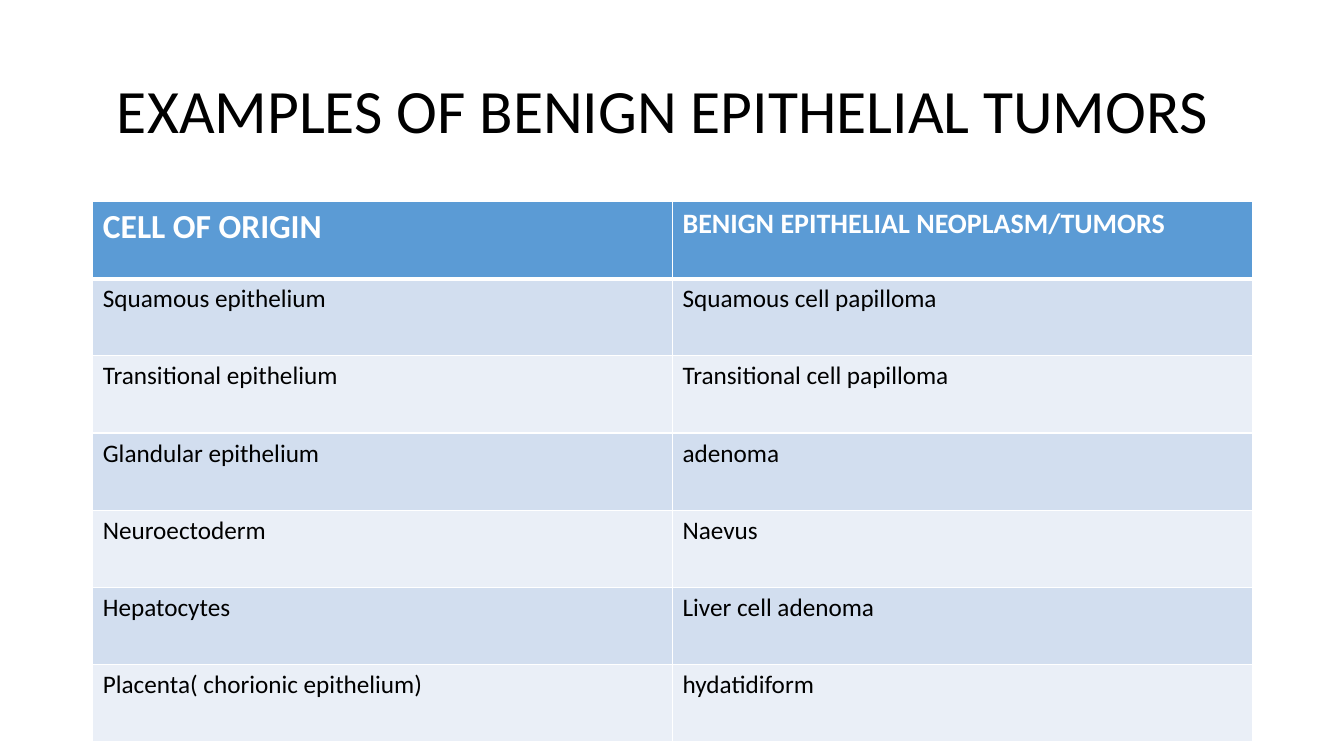
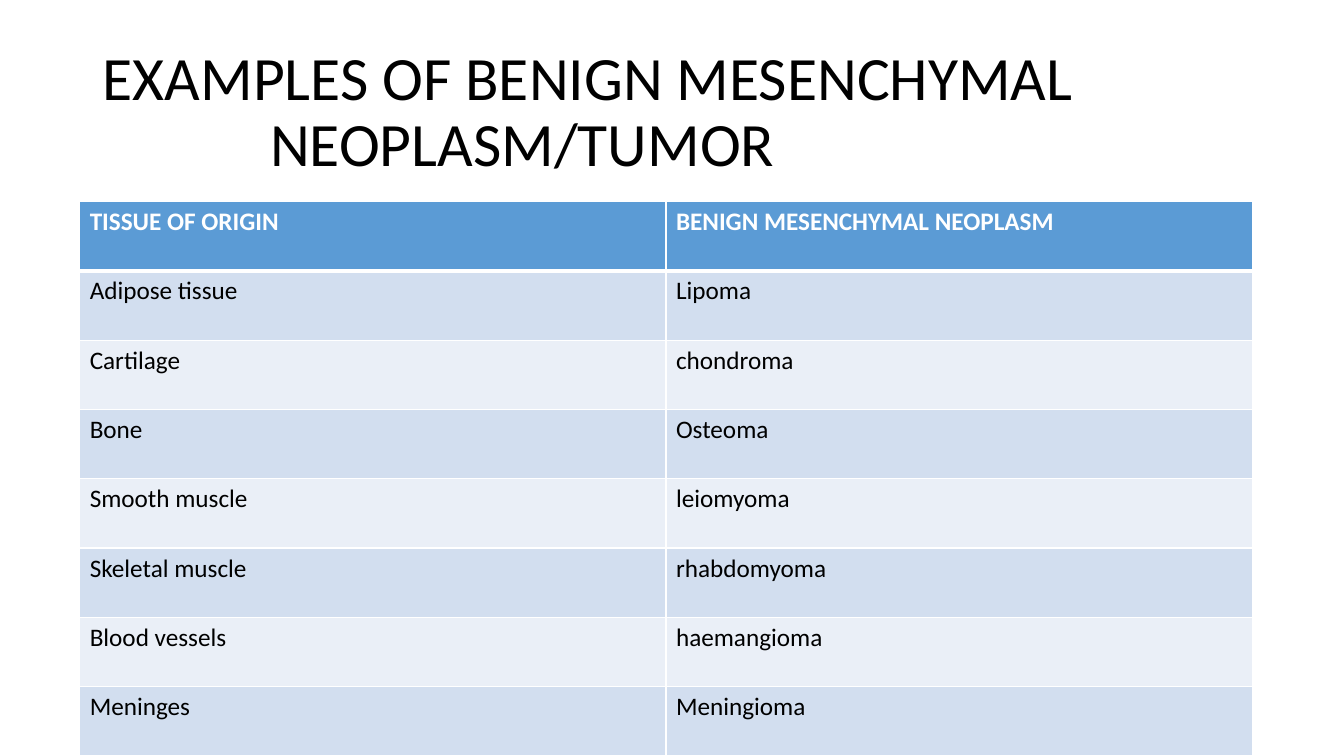
import pptx
import pptx.util
import pptx.dml.color
import pptx.enum.text
import pptx.oxml
import pptx.oxml.ns
from dataclasses import dataclass

PX = 9144  # EMU in one px, 100 px to the inch


@dataclass(frozen=True)
class Theme:
    font: str = "Calibri"
    ink: str = "000000"
    paper: str = "FFFFFF"
    header: str = "5B9BD5"
    bands: tuple = ("D2DEEF", "EAEFF7")
    title_size: int = 44
    body_size: int = 18
    rule: int = 1
    header_rule: int = 3


THEME = Theme()
SLIDE_SIZE = (1333, 750)
TITLE_BOX = (92, 40, 1150, 145)

# Each title line is (text, left indent in px)
SLIDES = [
    dict(
        title=[("EXAMPLES OF BENIGN EPITHELIAL TUMORS", 14)],
        box=(92, 200, 1150, 536),
        header_sizes=(24, 20),
        rows=[
            ("CELL OF ORIGIN", "BENIGN EPITHELIAL NEOPLASM/TUMORS"),
            ("Squamous epithelium", "Squamous cell papilloma"),
            ("Transitional epithelium", "Transitional cell papilloma"),
            ("Glandular epithelium", "adenoma"),
            ("Neuroectoderm", "Naevus"),
            ("Hepatocytes", "Liver cell adenoma"),
            ("Placenta( chorionic epithelium)", "hydatidiform"),
        ],
    ),
    dict(
        title=[("EXAMPLES OF BENIGN MESENCHYMAL", 0), ("NEOPLASM/TUMOR", 166)],
        box=(79, 200, 1163, 550),
        header_sizes=(THEME.body_size, THEME.body_size),
        rows=[
            ("TISSUE OF ORIGIN", "BENIGN MESENCHYMAL NEOPLASM"),
            ("Adipose tissue", "Lipoma"),
            ("Cartilage", "chondroma"),
            ("Bone", "Osteoma"),
            ("Smooth muscle", "leiomyoma"),
            ("Skeletal muscle", "rhabdomyoma"),
            ("Blood vessels", "haemangioma"),
            ("Meninges", "Meningioma"),
        ],
    ),
]


def apply_format(target, values):
    for name, value in values.items():
        setattr(target, name, value)


def style_font(font, size, color, bold=False):
    apply_format(font, dict(name=THEME.font, size=pptx.util.Pt(size), bold=bold))
    font.color.rgb = pptx.dml.color.RGBColor.from_string(color)


def place_title(slide, box, lines):
    title = slide.shapes.title
    left, top, width, height = (length * PX for length in box)
    apply_format(title, dict(left=left, top=top, width=width, height=height))
    frame = title.text_frame
    apply_format(frame, dict(
        word_wrap=True,
        auto_size=pptx.enum.text.MSO_AUTO_SIZE.NONE,
        vertical_anchor=pptx.enum.text.MSO_ANCHOR.MIDDLE,
    ))
    frame.text = "\n".join(text for text, _ in lines)
    for paragraph, (_, indent) in zip(frame.paragraphs, lines):
        apply_format(paragraph, dict(
            alignment=pptx.enum.text.PP_ALIGN.LEFT, line_spacing=0.9))
        paragraph._p.get_or_add_pPr().set("marL", str(indent * PX))
        style_font(paragraph.font, THEME.title_size, THEME.ink)


def add_borders(cell, top, bottom):
    sides = dict(lnL=THEME.rule, lnR=THEME.rule, lnT=top, lnB=bottom)
    for side, points in sides.items():
        cell._tc.get_or_add_tcPr().append(pptx.oxml.parse_xml(
            f'<a:{side} {pptx.oxml.ns.nsdecls("a")} w="{pptx.util.Pt(points)}">'
            f'<a:solidFill><a:srgbClr val="{THEME.paper}"/></a:solidFill></a:{side}>'))


def fill_cell(cell, text, fill, size, color, bold, top, bottom):
    add_borders(cell, top, bottom)
    cell.fill.solid()
    cell.fill.fore_color.rgb = pptx.dml.color.RGBColor.from_string(fill)
    cell.text = text
    style_font(cell.text_frame.paragraphs[0].font, size, color, bold)


def place_tumor_table(slide, box, rows, header_sizes):
    left, top, width, height = (length * PX for length in box)
    table = slide.shapes.add_table(
        len(rows), len(rows[0]), left, top, width, height).table
    for column in table.columns:
        column.width = width // len(rows[0])
    for row in table.rows:
        row.height = height // len(rows)

    # Header row
    for c, (text, size) in enumerate(zip(rows[0], header_sizes)):
        fill_cell(table.cell(0, c), text, THEME.header, size, THEME.paper, True,
                  THEME.rule, THEME.header_rule)

    # Banded body rows
    for r, texts in enumerate(rows[1:], 1):
        band = THEME.bands[(r - 1) % len(THEME.bands)]
        top_rule = THEME.header_rule if r == 1 else THEME.rule
        for c, text in enumerate(texts):
            fill_cell(table.cell(r, c), text, band, THEME.body_size, THEME.ink,
                      False, top_rule, THEME.rule)


def add_table_slide(deck, title, box, rows, header_sizes):
    slide = deck.slides.add_slide(deck.slide_layouts.get_by_name("Title Only"))
    place_title(slide, TITLE_BOX, title)
    place_tumor_table(slide, box, rows, header_sizes)


def main():
    deck = pptx.Presentation()
    deck.slide_width, deck.slide_height = (length * PX for length in SLIDE_SIZE)
    for content in SLIDES:
        add_table_slide(deck, **content)
    deck.save("out.pptx")


if __name__ == "__main__":
    main()
